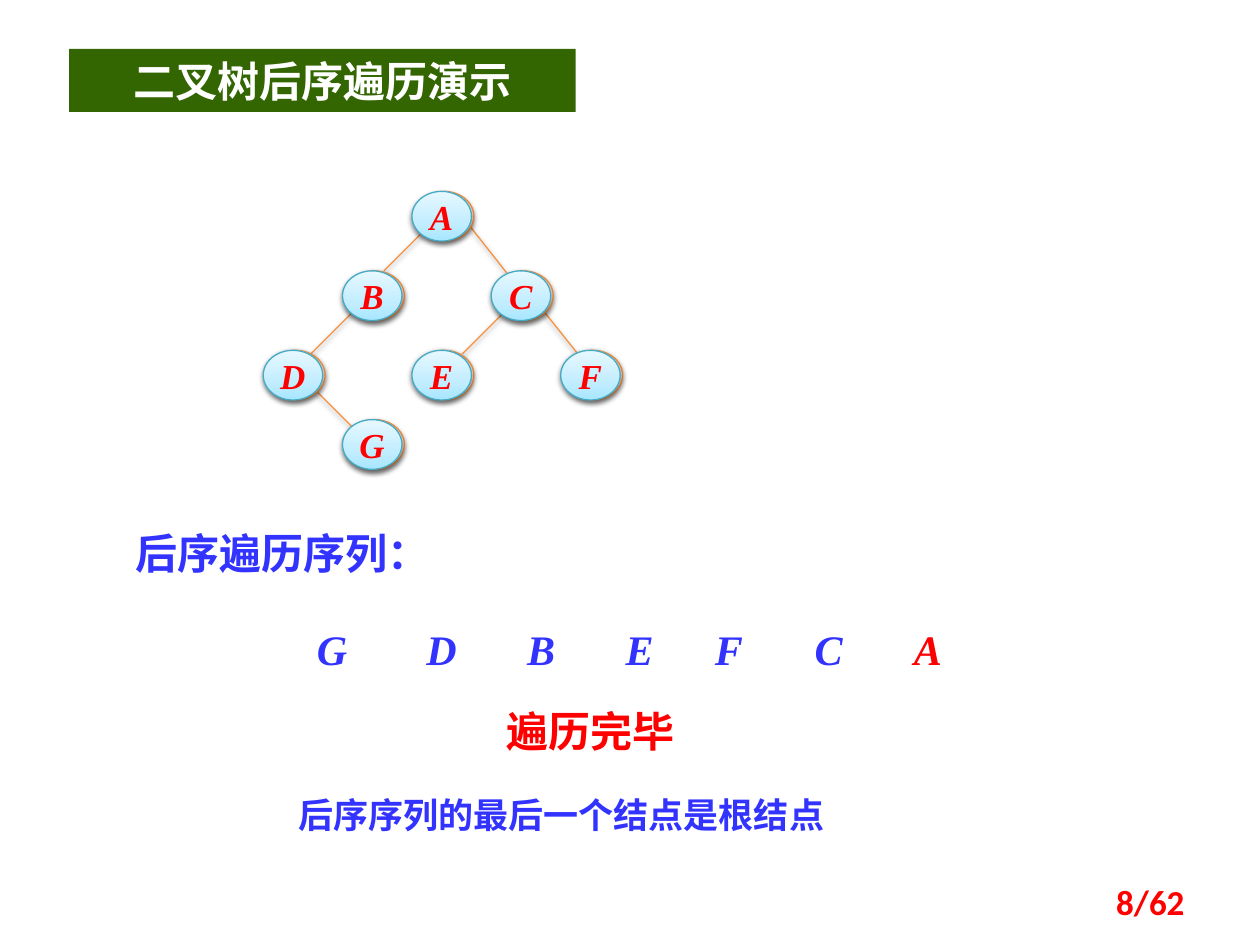
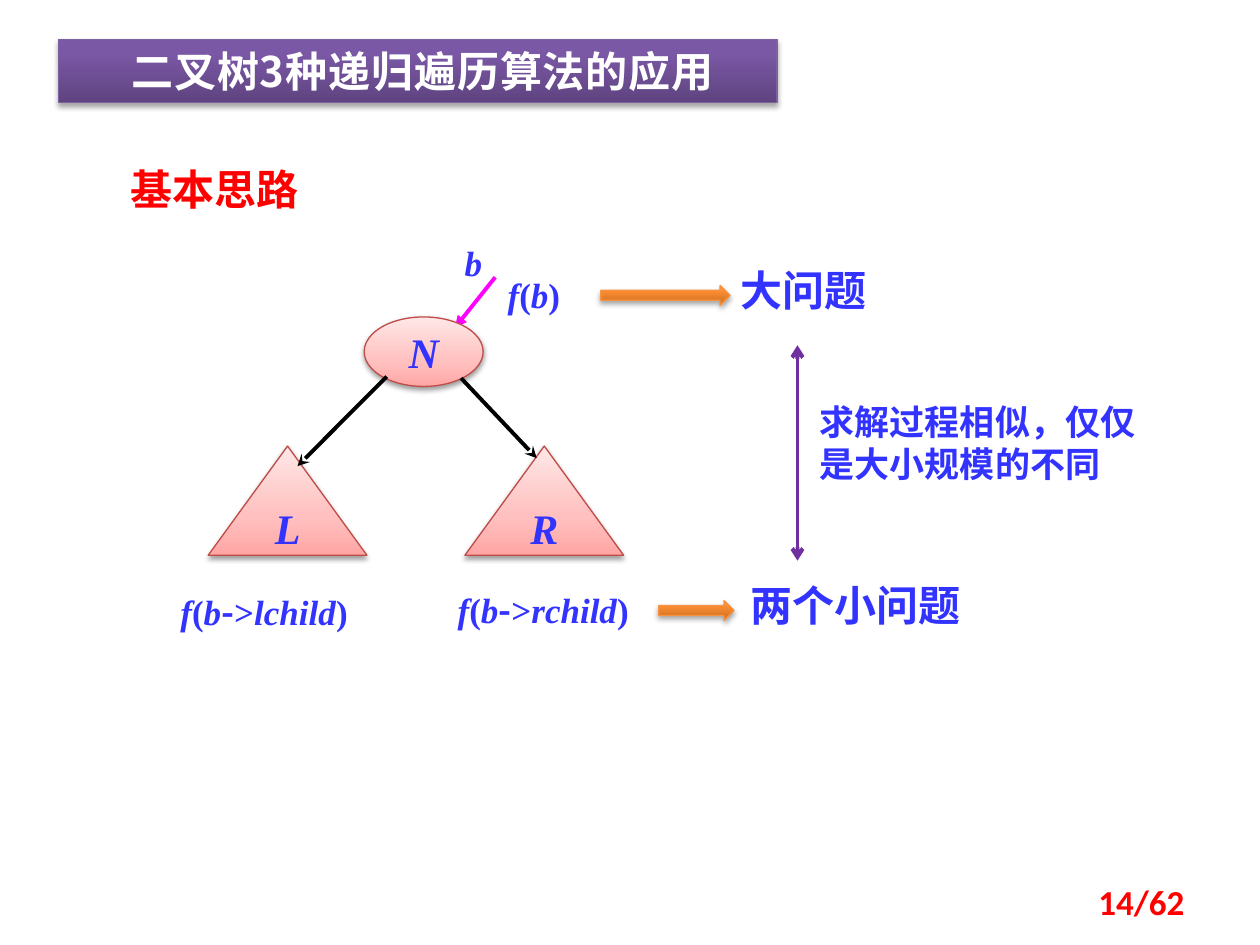
import pptx
import pptx.util
import pptx.dml.color
import pptx.enum.dml
import pptx.enum.shapes
import pptx.enum.text
import pptx.oxml.ns
from lxml import etree

Pt = pptx.util.Pt
RGB = pptx.dml.color.RGBColor
SHAPE = pptx.enum.shapes.MSO_SHAPE
ALIGN = pptx.enum.text.PP_ALIGN
ANCHOR = pptx.enum.text.MSO_ANCHOR
AUTO_SIZE = pptx.enum.text.MSO_AUTO_SIZE
qn = pptx.oxml.ns.qn

CJK = "Noto Sans CJK SC"
SERIF = "Times New Roman"
SANS = "Calibri"

WHITE = RGB(0xFF, 0xFF, 0xFF)
BLACK = RGB(0, 0, 0)
RED = RGB(0xFF, 0, 0)
BLUE = RGB(0x33, 0x33, 0xFF)
GREEN = RGB(0x33, 0x66, 0x00)
MAGENTA = RGB(0xFF, 0, 0xFF)
PURPLE = RGB(0x70, 0x30, 0xA0)
VIOLET_LINE = RGB(0x7D, 0x60, 0xA0)
ORANGE_LINE = RGB(0xF6, 0x92, 0x40)
CYAN_LINE = RGB(0x46, 0xAA, 0xC5)
ROSE_LINE = RGB(0xBF, 0x4C, 0x48)


def stops(middle, *colours):
    """Gradient stops, from the bottom of a shape to its top."""
    return list(zip((0, middle, 100), map(RGB.from_string, colours)))


PEACH = stops(35, "FFD2BD", "FFDED0", "FFF2ED")
SKY = stops(35, "A7E6FF", "C1EDFF", "E7F8FF")
ROSE = stops(35, "FFA6A5", "FFC0BF", "FFE7E7")
ORANGE = stops(80, "CC6E20", "FF9034", "FF9136")
VIOLET = stops(80, "5F4480", "7B58A6", "7C57A8")

SOFT_SHADOW = (38, 1.6)   # opacity in percent, distance in points
DEEP_SHADOW = (35, 1.8)


def set_shadow(part, shadow):
    properties = part._element.spPr
    effects = properties.find(qn("a:effectLst"))
    if effects is None:
        effects = etree.SubElement(properties, qn("a:effectLst"))
    if shadow:
        opacity, distance = shadow
        outer = etree.SubElement(
            effects, qn("a:outerShdw"), blurRad=str(Pt(3.1)), dist=str(Pt(distance)),
            dir="5400000", rotWithShape="0")
        colour = etree.SubElement(outer, qn("a:srgbClr"), val=str(BLACK))
        etree.SubElement(colour, qn("a:alpha"), val=str(opacity * 1000))


def set_gradient(shape, gradient):
    shape.fill.gradient()
    shape.fill.gradient_angle = 90
    stop_list = shape._element.spPr.find(qn("a:gradFill")).find(qn("a:gsLst"))
    for stop in list(stop_list):
        stop_list.remove(stop)
    for position, colour in gradient:
        stop = etree.SubElement(stop_list, qn("a:gs"), pos=str(position * 1000))
        etree.SubElement(stop, qn("a:srgbClr"), val=str(colour))


def write(shape, text, size, colour, font=CJK, align=ALIGN.LEFT, italic=False):
    """Write one bold paragraph; returns it so that runs can be added."""
    paragraph = shape.text_frame.paragraphs[0]
    paragraph.text = text
    paragraph.alignment = align
    style = paragraph.font
    style.name, style.size = font, Pt(size)
    style.bold, style.italic = True, italic
    style.color.rgb = colour
    etree.SubElement(style._rPr, qn("a:ea"), typeface=font)
    return paragraph


def add_text(slide, box, text, size, colour, **style):
    label = slide.shapes.add_textbox(*map(Pt, box))
    label.text_frame.word_wrap = True
    label.text_frame.auto_size = AUTO_SIZE.SHAPE_TO_FIT_TEXT
    return write(label, text, size, colour, **style)


def add_shape(slide, kind, box, fill, line=None, shadow=None):
    shape = slide.shapes.add_shape(kind, *map(Pt, box))
    shape.shadow.inherit = False
    set_shadow(shape, shadow)
    if isinstance(fill, RGB):
        shape.fill.solid()
        shape.fill.fore_color.rgb = fill
    else:
        set_gradient(shape, fill)
    if line is None:
        shape.line.fill.background()
    else:
        shape.line.color.rgb = line
        shape.line.width = Pt(0.75)
    return shape


def add_node(slide, kind, box, fill, line, letter, size, colour):
    node = add_shape(slide, kind, box, fill, line, SOFT_SHADOW)
    node.text_frame.word_wrap = False
    node.text_frame.vertical_anchor = ANCHOR.MIDDLE
    write(node, letter, size, colour, SERIF, ALIGN.CENTER, italic=True)


def add_line(slide, start, end, colour, width, head=None, tail=None, shadow=None):
    line = slide.shapes.add_connector(
        pptx.enum.shapes.MSO_CONNECTOR.STRAIGHT, *map(Pt, (*start, *end)))
    line.line.color.rgb = colour
    line.line.width = Pt(width)
    for tag, arrow in (("a:headEnd", head), ("a:tailEnd", tail)):
        if arrow:
            etree.SubElement(line.line._ln, qn(tag), type=arrow)
    set_shadow(line, shadow)


def add_title(slide, box, text, fill, line=None, shadow=None):
    band = add_shape(slide, SHAPE.RECTANGLE, box, fill, line, shadow)
    band.text_frame.word_wrap = True
    band.text_frame.auto_size = AUTO_SIZE.SHAPE_TO_FIT_TEXT
    write(band, text, 24, WHITE, align=ALIGN.CENTER)
    return band


def add_page_number(slide, page):
    number = slide.shapes.add_textbox(Pt(516), Pt(500.5), Pt(168), Pt(28.75))
    number.text_frame.word_wrap = True
    number.text_frame.vertical_anchor = ANCHOR.MIDDLE
    write(number, f"{page}/62", 20, RED, SANS, ALIGN.RIGHT)


def add_binary_tree(slide, left, top):
    nodes = {"A": (85, 0), "B": (45.3, 45.4), "C": (130.3, 45.4), "D": (0, 90.8),
             "E": (85, 90.8), "F": (170, 90.8), "G": (45.3, 130.4)}
    # parent, start within the parent's box, run to the child
    edges = [("D", (29.5, 22.4), (23, 23)), ("A", (7, 22.4), (-23, 23)),
             ("A", (32.3, 18.8), (23.8, 30.2)), ("B", (7, 22.4), (-28.8, 28.8)),
             ("C", (6.5, 24.5), (-23, 23)), ("C", (29.5, 22.4), (23, 28.8))]
    for parent, (start_x, start_y), (run_x, run_y) in edges:
        x = left + nodes[parent][0] + start_x
        y = top + nodes[parent][1] + start_y
        add_line(slide, (x, y), (x + run_x, y + run_y), ORANGE_LINE, 0.75,
                 shadow=SOFT_SHADOW)
    for x, y in nodes.values():
        add_shape(slide, SHAPE.OVAL, (left + x + 1.4, top + y, 34, 28.4),
                  PEACH, ORANGE_LINE, SOFT_SHADOW)
    for letter, (x, y) in nodes.items():
        add_node(slide, SHAPE.OVAL, (left + x, top + y, 34, 28.4),
                 SKY, CYAN_LINE, letter, 20, RED)


def add_visit_order(slide, left, top):
    offsets = (0, 62.6, 119.5, 175.7, 226.8, 283.7, 340.5)
    for letter, x in zip("GDBEFCA", offsets):
        add_text(slide, (left + x, top, 56.9, 36), letter, 24,
                 RED if letter == "A" else BLUE,
                 font=SERIF, align=ALIGN.CENTER, italic=True)


def build_traversal_slide(slide):
    add_title(slide, (39.5, 28, 289.5, 36), "二叉树后序遍历演示", GREEN)
    add_binary_tree(slide, 150.4, 109.4)
    add_text(slide, (70.5, 298, 204.5, 36), "后序遍历序列：", 24, BLUE)
    add_visit_order(slide, 161.3, 352.8)
    add_text(slide, (241.2, 399.6, 193, 36), "遍历完毕", 24, RED, align=ALIGN.CENTER)
    add_text(slide, (163.4, 450, 393.8, 31.7), "后序序列的最后一个结点是根结点", 20, BLUE)
    add_page_number(slide, 8)


def add_call(slide, box, *argument):
    """Write f(argument): names in italics, brackets and the arrow upright."""
    paragraph = add_text(slide, box, "", 20, BLUE, font=SERIF, italic=True)
    for part in ("f", "(", *argument, ")"):
        run = paragraph.add_run()
        run.text = part
        run.font.italic = part.isalpha()
        if part == "-":
            run.font.name = CJK


def add_subtree_diagram(slide, left, top):
    add_line(slide, (left + 164, top + 23.8), (left + 141, top + 52.6),
             MAGENTA, 2.25, tail="triangle")
    add_text(slide, (left + 139.5, top, 28, 31), "b", 20, BLUE, font=SERIF, italic=True)
    add_node(slide, SHAPE.OVAL, (left + 89.1, top + 46.5, 68, 39.7),
             ROSE, ROSE_LINE, "N", 24, BLUE)
    for letter, x in (("L", 0), ("R", 146.7)):
        add_node(slide, SHAPE.ISOSCELES_TRIANGLE, (left + x, top + 120.3, 90.7, 62.4),
                 ROSE, ROSE_LINE, letter, 24, BLUE)
    add_line(slide, (left + 102, top + 80.6), (left + 51, top + 131.8),
             BLACK, 2.25, tail="stealth")
    add_line(slide, (left + 144.5, top + 81.5), (left + 187.7, top + 127.2),
             BLACK, 2.25, tail="stealth")
    add_call(slide, (left + 164, top + 18, 57, 31), "b")
    add_call(slide, (left - 23, top + 199.5, 147.6, 31), "b", "-", ">", "lchild")
    add_call(slide, (left + 135.4, top + 198, 152.6, 31), "b", "-", ">", "rchild")


def add_problem_sizes(slide, left, top):
    add_text(slide, (left + 72.7, top, 106.6, 36), "大问题", 24, BLUE)
    add_text(slide, (left + 78.5, top + 180, 146.2, 36), "两个小问题", 24, BLUE)
    for x, y, width in ((0, 15.5, 73.8), (33, 195.6, 43)):
        add_shape(slide, SHAPE.RIGHT_ARROW, (left + x, top + y, width, 11.4),
                  ORANGE, ORANGE_LINE, DEEP_SHADOW)
    add_line(slide, (left + 112.3, top + 49.7), (left + 112.3, top + 172.8),
             PURPLE, 2.25, head="arrow", tail="arrow")
    add_text(slide, (left + 118, top + 77.8, 208, 55.7),
             "求解过程相似，仅仅是大小规模的不同", 20, BLUE)


def build_recursion_slide(slide):
    title = add_title(slide, (33.5, 22.5, 410.5, 36), "二叉树3种递归遍历算法的应用",
                      VIOLET, VIOLET_LINE, DEEP_SHADOW)
    title.text_frame.margin_left = Pt(12.5)
    title.text_frame.paragraphs[0].font._rPr.set("spc", "50")
    add_text(slide, (67.7, 90, 129.6, 36), "基本思路", 24, RED)
    add_subtree_diagram(slide, 119, 134.6)
    add_problem_sizes(slide, 343.4, 147.6)
    add_page_number(slide, 14)


def main():
    deck = pptx.Presentation()
    deck.slide_width, deck.slide_height = Pt(720), Pt(540)
    for build in (build_traversal_slide, build_recursion_slide):
        build(deck.slides.add_slide(deck.slide_layouts[6]))
    deck.save("out.pptx")


if __name__ == "__main__":
    main()
